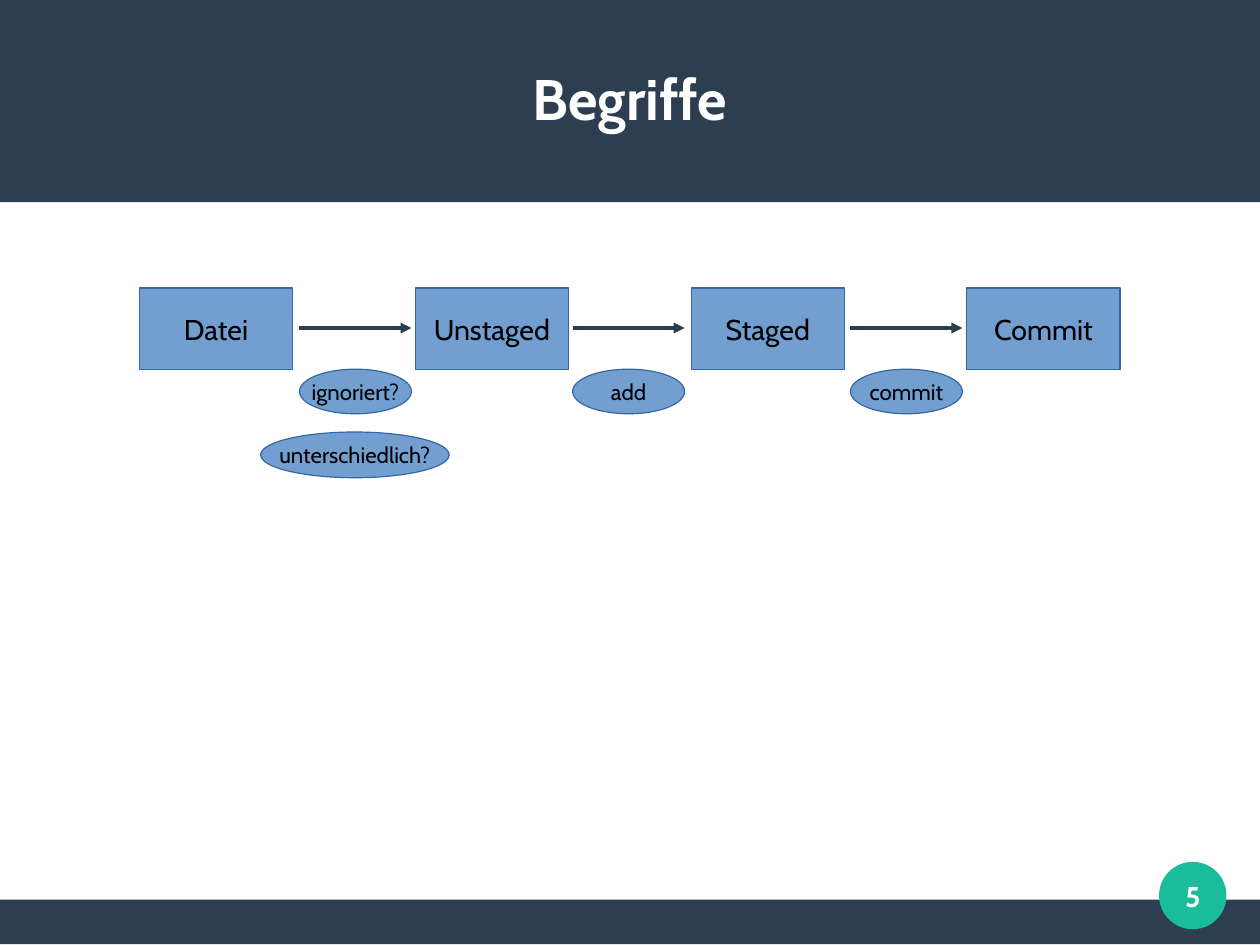
import pptx
import pptx.dml.color
import pptx.enum.shapes
import pptx.enum.text
import pptx.oxml
import pptx.oxml.ns
import pptx.util
from pptx.util import Inches

RGBColor = pptx.dml.color.RGBColor
NAVY = RGBColor(0x2C, 0x3E, 0x50)
TEAL = RGBColor(0x1A, 0xBC, 0x9C)
BLUE = RGBColor(0x72, 0x9F, 0xCF)
OUTLINE = RGBColor(0x34, 0x65, 0xA4)
BLACK = RGBColor(0, 0, 0)
WHITE = RGBColor(0xFF, 0xFF, 0xFF)

RECTANGLE = pptx.enum.shapes.MSO_SHAPE.RECTANGLE
OVAL = pptx.enum.shapes.MSO_SHAPE.OVAL
CM_PER_INCH = 2.54
SLIDE_WIDTH, SLIDE_HEIGHT = 28 / CM_PER_INCH, 21 / CM_PER_INCH


def write_text(shape, text, size=18, color=BLACK, bold=False, wrap=False, insets=(0.1, 0.05)):
    frame = shape.text_frame
    frame.auto_size = pptx.enum.text.MSO_AUTO_SIZE.NONE
    frame.word_wrap = wrap
    frame.vertical_anchor = pptx.enum.text.MSO_ANCHOR.MIDDLE
    frame.margin_left = frame.margin_right = Inches(insets[0])
    frame.margin_top = frame.margin_bottom = Inches(insets[1])
    paragraph = frame.paragraphs[0]
    paragraph.alignment = pptx.enum.text.PP_ALIGN.CENTER
    run = paragraph.add_run()
    run.text = text
    run.font.name = "Cabin"
    run.font.size = pptx.util.Pt(size)
    run.font.bold = bold
    run.font.color.rgb = color


class StagingSlide:
    """Draws the styled parts of the staging workflow on one slide."""

    def __init__(self, presentation):
        self.slide = presentation.slides.add_slide(presentation.slide_layouts[5])
        self.shapes = self.slide.shapes

    def title(self, text):
        title = self.shapes.title
        title.left, title.top = Inches(0.39), Inches(0.33)
        title.width, title.height = Inches(10.24), Inches(1.05)
        write_text(title, text, size=36, color=WHITE, bold=True, wrap=True, insets=(0, 0))
        title.element.getparent().append(title.element)

    def plain(self, kind, left, top, width, height, fill):
        shape = self.shapes.add_shape(
            kind, Inches(left), Inches(top), Inches(width), Inches(height))
        shape.shadow.inherit = False
        shape.fill.solid()
        shape.fill.fore_color.rgb = fill
        shape.line.fill.background()
        return shape

    def node(self, kind, text, left, top, width, height, size):
        shape = self.plain(kind, left, top, width, height, BLUE)
        shape.line.color.rgb = OUTLINE
        shape.line.width = pptx.util.Pt(0)
        write_text(shape, text, size=size)

    def arrow(self, left, right, y):
        connector = self.shapes.add_connector(
            pptx.enum.shapes.MSO_CONNECTOR.STRAIGHT,
            Inches(left), Inches(y), Inches(right), Inches(y))
        connector.line.color.rgb = NAVY
        connector.line.width = pptx.util.Pt(2.3)
        line = connector.line._get_or_add_ln()
        head = pptx.oxml.parse_xml(
            f'<a:tailEnd {pptx.oxml.ns.nsdecls("a")} type="triangle"/>')
        line.append(head)
        effects = pptx.oxml.parse_xml(f'<a:effectLst {pptx.oxml.ns.nsdecls("a")}/>')
        line.addnext(effects)

    def page_number(self, number):
        box = self.shapes.add_textbox(
            Inches(10.04), Inches(7.44), Inches(0.79), Inches(0.79))
        write_text(box, number, color=WHITE, bold=True, wrap=True, insets=(0, 0))


def main():
    presentation = pptx.Presentation()
    presentation.slide_width = round(Inches(28) / CM_PER_INCH)
    presentation.slide_height = round(Inches(21) / CM_PER_INCH)
    staging = StagingSlide(presentation)

    staging.plain(RECTANGLE, 0, 7.87, SLIDE_WIDTH, 0.39, NAVY)
    staging.plain(RECTANGLE, 0, 0, SLIDE_WIDTH, 1.77, NAVY)
    staging.plain(OVAL, 10.14, 7.54, 0.59, 0.59, TEAL)
    staging.title("Begriffe")

    for index, state in enumerate(["Datei", "Unstaged", "Staged", "Commit"]):
        staging.node(RECTANGLE, state, 1.22 + index * 7.24 / 3, 2.52, 1.34, 0.71, 18)

    step_width = 0.98
    for left, step in [(2.62, "ignoriert?"), (5.01, "add"), (7.44, "commit")]:
        staging.arrow(left, left + step_width, 2.87)
        staging.node(OVAL, step, left, 3.23, step_width, 0.39, 14)
    staging.node(OVAL, "unterschiedlich?", 2.28, 3.78, 1.65, 0.4, 14)

    staging.page_number("5")
    presentation.save("out.pptx")


if __name__ == "__main__":
    main()
